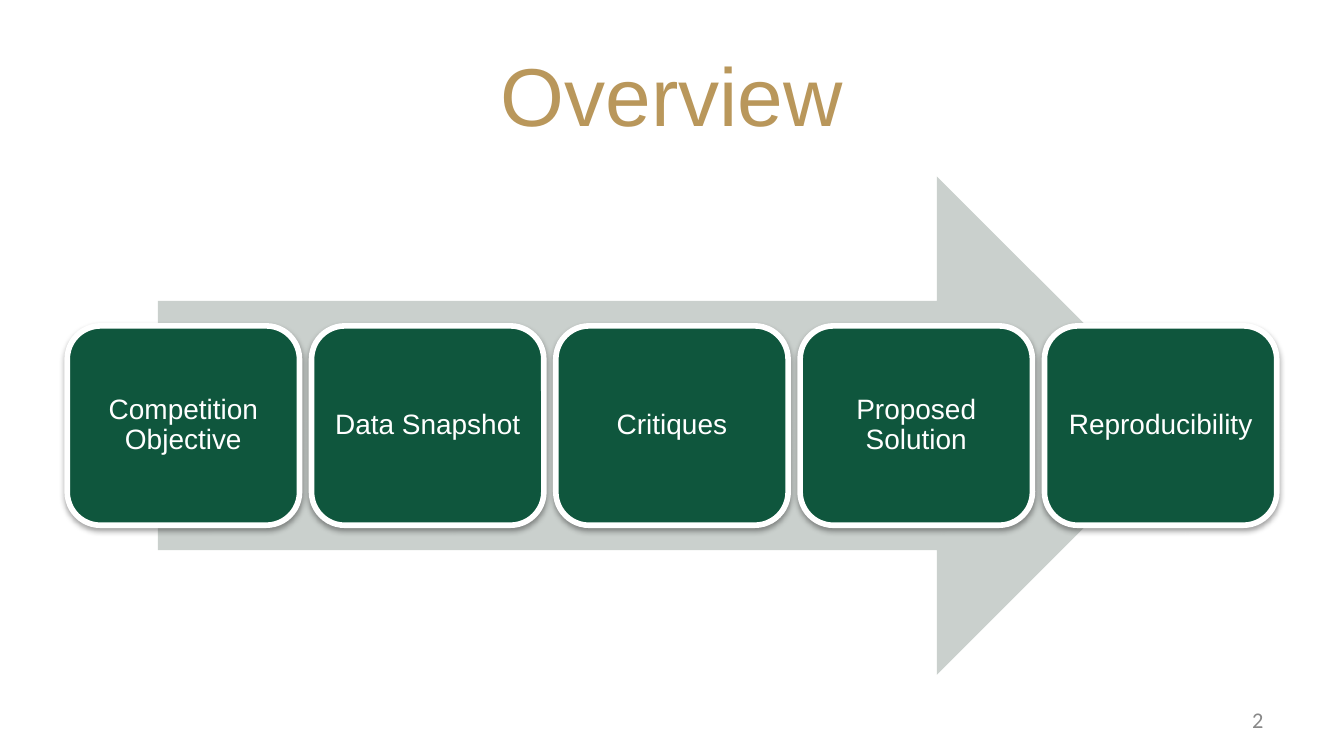
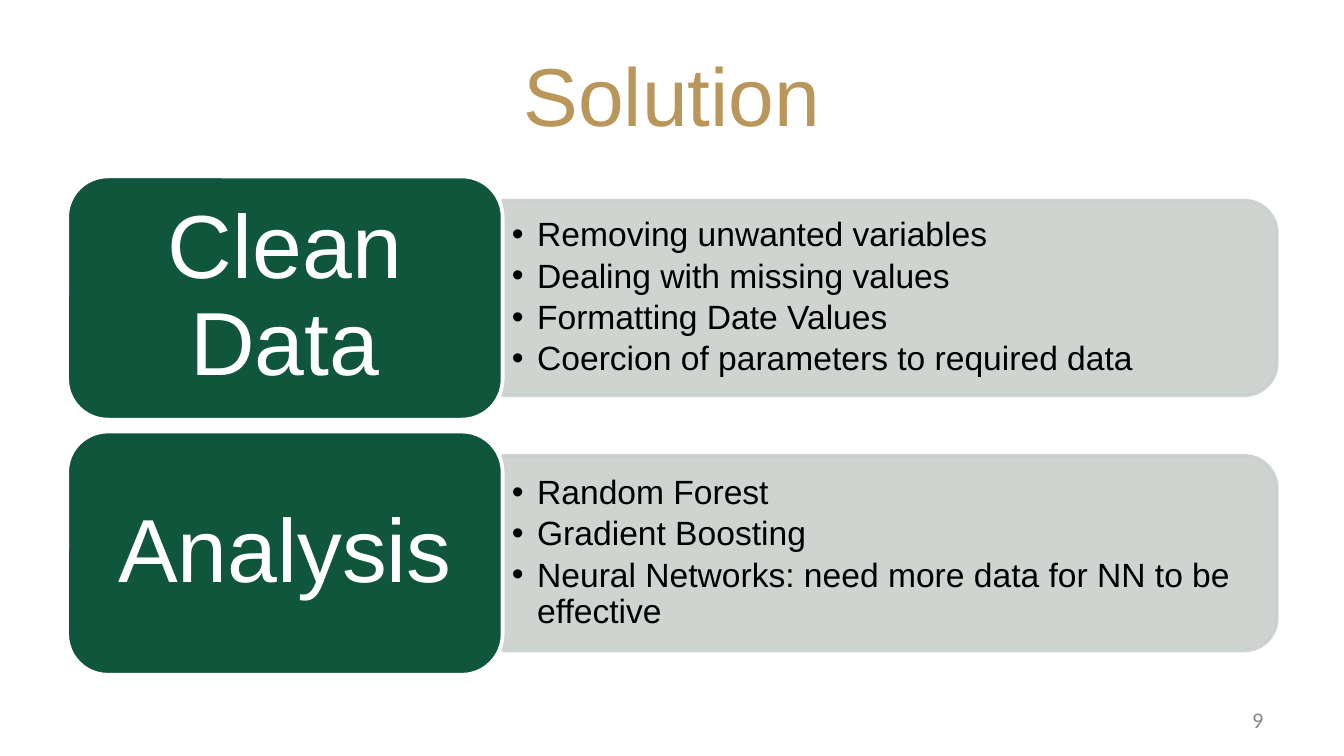
from lxml.etree import SubElement
from pptx import Presentation
from pptx.dml.color import RGBColor
from pptx.enum.shapes import MSO_SHAPE as Kind
from pptx.enum.text import MSO_ANCHOR as Anchor, MSO_AUTO_SIZE as Auto, PP_ALIGN as Align
from pptx.oxml.ns import qn
from pptx.util import Pt

GREEN, GREY, GOLD = "0F563D", "CAD0CD", "B9975B"
WHITE, BLACK, DIM = "FFFFFF", "000000", "888888"
HEAD = (36, 16.5, 648, 67.5)
MAIN = (36, 94.5, 648, 267)
FOOT = (516, 375, 168, 21.5)
ROUND = 0.167
GAP = 6.4
STEPS = ["Competition Objective", "Data Snapshot", "Critiques",
         "Proposed Solution", "Reproducibility"]
ROWS = [
    ("Clean Data", ["Removing unwanted variables", "Dealing with missing values",
                    "Formatting Date Values",
                    "Coercion of parameters to required data"]),
    ("Analysis", ["Random Forest", "Gradient Boosting",
                  "Neural Networks: need more data for NN to be effective"]),
]


def color(code):
    """Turn a hex string into a colour."""
    return RGBColor.from_string(code)


def place(shape, box):
    """Move a shape to a box given in points."""
    shape.left, shape.top, shape.width, shape.height = map(Pt, box)


def style(shape, size, ink, align, inset, font="Arial", ratio=None):
    """Format all text of a shape."""
    frame = shape.text_frame
    frame.auto_size = Auto.NONE
    frame.word_wrap = True
    frame.vertical_anchor = Anchor.MIDDLE
    frame.margin_left = frame.margin_right = Pt(inset[0])
    frame.margin_top = frame.margin_bottom = Pt(inset[1])
    for para in frame.paragraphs:
        para.alignment = align
        if ratio:
            para.line_spacing = ratio
        for run in para.runs:
            run.font.name, run.font.size = font, Pt(size)
            run.font.color.rgb = color(ink)


def draw(slide, kind, box, fill, edge=None, width=0):
    """Add a flat shape with an optional outline."""
    shape = slide.shapes.add_shape(kind, *map(Pt, box))
    shape.shadow.inherit = False
    shape.fill.solid()
    shape.fill.fore_color.rgb = color(fill)
    if edge:
        shape.line.color.rgb = color(edge)
        shape.line.width = Pt(width)
    else:
        shape.line.fill.background()
    return shape


def tile(slide, box, text, size, inset, width):
    """Add a green rounded tile with a centred label."""
    shape = draw(slide, Kind.ROUNDED_RECTANGLE, box, GREEN, WHITE, width)
    shape.adjustments[0] = ROUND
    shape.text_frame.text = text
    style(shape, size, WHITE, Align.CENTER, inset, ratio=0.9)
    return shape


def shade(shape):
    """Give a shape a soft shadow below it."""
    effect = shape.element.spPr.find(qn("a:effectLst"))
    outer = SubElement(effect, qn("a:outerShdw"), blurRad=str(Pt(3.1)),
                       dist=str(Pt(1.6)), dir="5400000", rotWithShape="0")
    tint = SubElement(outer, qn("a:srgbClr"), val=BLACK)
    SubElement(tint, qn("a:alpha"), val="37000")


def start(deck, layout, title, number):
    """Add a slide with its title and page number."""
    slide = deck.slides.add_slide(deck.slide_layouts.get_by_name(layout))
    head = slide.shapes.title
    place(head, HEAD)
    head.text_frame.text = title
    style(head, 44, GOLD, Align.CENTER, (7.2, 3.6))
    foot = slide.shapes.add_textbox(*map(Pt, FOOT))
    foot.text_frame.text = str(number)
    style(foot, 12, DIM, Align.RIGHT, (7.2, 3.6), "Calibri")
    return slide


def flow(slide, box, steps):
    """Lay a row of tiles over a wide arrow."""
    left, top, wide, high = box
    arrow = (left + 0.075 * wide, top, 0.85 * wide, high)
    draw(slide, Kind.RIGHT_ARROW, arrow, GREY)
    pitch = (wide + GAP) / len(steps)
    for i, step in enumerate(steps):
        spot = (left + i * pitch, top + 0.3 * high, pitch - GAP, 0.4 * high)
        shade(tile(slide, spot, step, 15, (4.3, 4.3), 3))


def panel(slide, box):
    """Add a translucent panel rounded on its right side."""
    left, top, wide, high = box
    turned = (left + (wide - high) / 2, top + (high - wide) / 2, high, wide)
    shape = draw(slide, Kind.ROUND_2_SAME_RECTANGLE, turned, GREY, GREY, 2)
    shape.rotation = 90
    shape.adjustments[0], shape.adjustments[1] = ROUND, 0
    for tint in shape.element.spPr.iter(qn("a:srgbClr")):
        SubElement(tint, qn("a:alpha"), val="90000")
    return shape


def bullets(body, box, items):
    """Fill a body placeholder with a bulleted list."""
    place(body, box)
    body.text_frame.text = "\n".join(items)
    style(body, 18, BLACK, Align.LEFT, (5, 2.9), ratio=0.9)
    for i, para in enumerate(body.text_frame.paragraphs):
        para.level = 1
        para.space_before = Pt(2.7 if i else 0)
        props = para._p.get_or_add_pPr()
        props.set("marL", str(Pt(13.5)))
        props.set("indent", str(Pt(-13.5)))
        SubElement(SubElement(props, qn("a:buClr")), qn("a:srgbClr"), val=BLACK)
        SubElement(props, qn("a:buFont"), typeface="Arial")
        SubElement(props, qn("a:buChar"), char="•")


def row(slide, box, body, label, items):
    """Place a label tile beside its list panel."""
    left, top, wide, high = box
    split = 0.36 * wide
    x, y, w, h = left + split, top + 0.1 * high, wide - split, 0.8 * high
    back = panel(slide, (x, y, w, h))
    bullets(body, (x, y + 5, w - 5, h - 10), items)
    back.element.addnext(body.element)
    tile(slide, (left, top, split, high), label, 48, (14.4, 7.2), 2)


def table(slide, box, rows):
    """Stack the label rows in a box."""
    left, top, wide, high = box
    pitch = (high + GAP) / len(rows)
    bodies = list(slide.placeholders)[1:]
    for i, (body, (label, items)) in enumerate(zip(bodies, rows)):
        spot = (left, top + i * pitch, wide, pitch - GAP)
        row(slide, spot, body, label, items)


def main():
    """Build and save the deck."""
    deck = Presentation()
    deck.slide_width, deck.slide_height = Pt(720), Pt(405)
    flow(start(deck, "Title Only", "Overview", 2), MAIN, STEPS)
    table(start(deck, "Two Content", "Solution", 9), MAIN, ROWS)
    deck.save("out.pptx")


if __name__ == "__main__":
    main()
